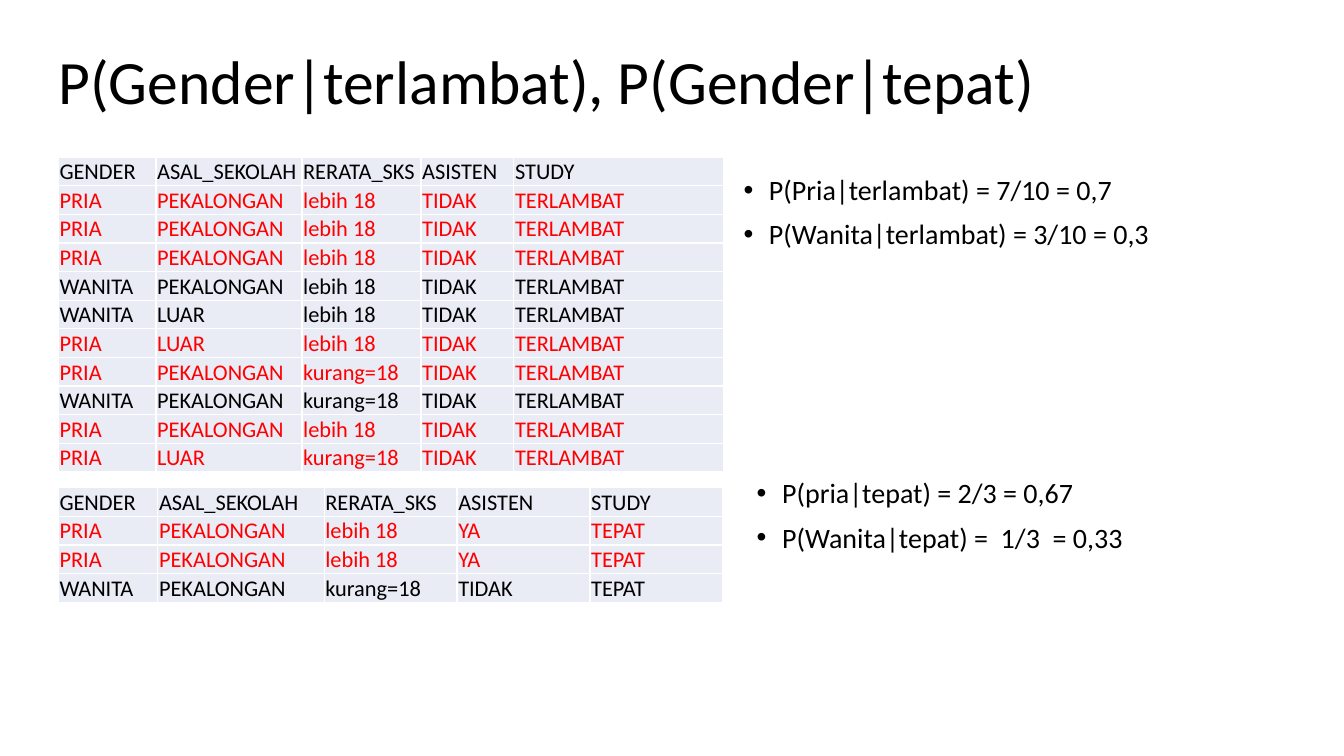
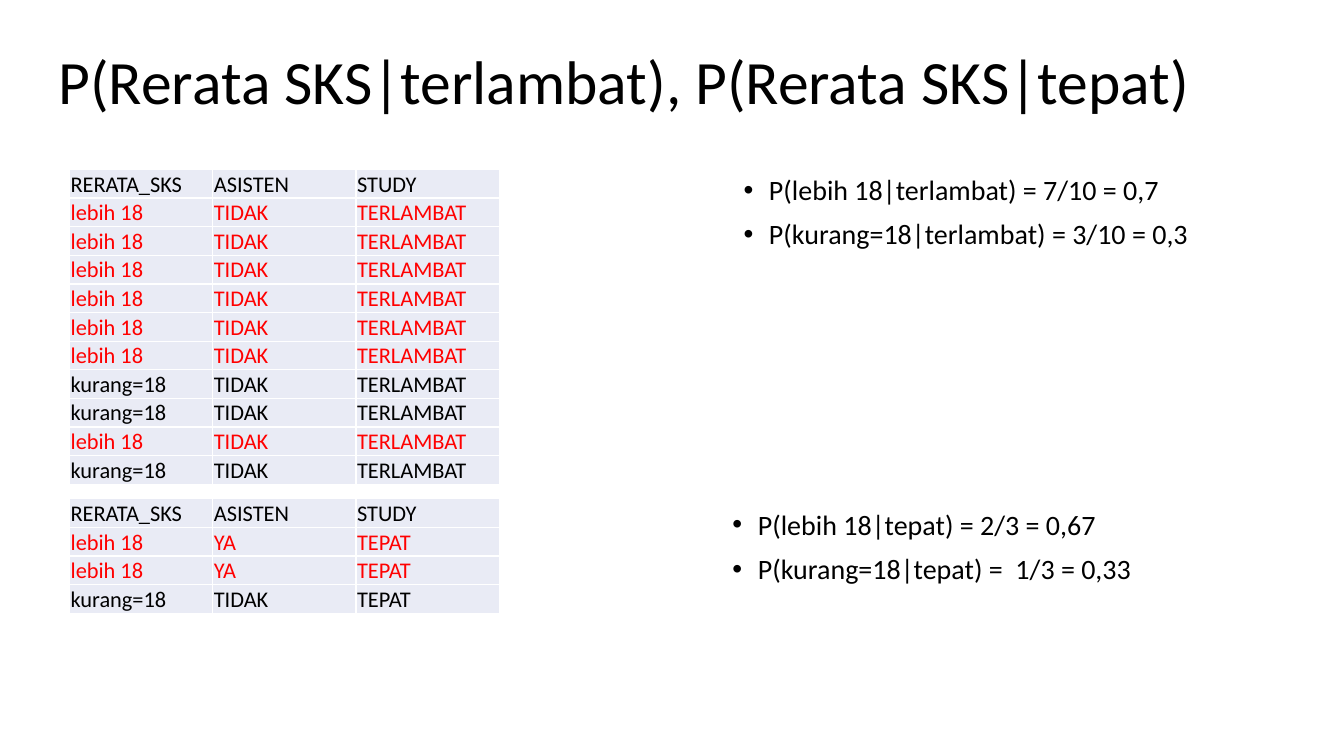
from lxml import etree
from pptx import Presentation
from pptx.dml.color import RGBColor
from pptx.enum.text import MSO_ANCHOR, MSO_AUTO_SIZE, PP_ALIGN
from pptx.oxml.ns import qn
from pptx.util import Cm, Pt

MIDDLE, BOTTOM = MSO_ANCHOR.MIDDLE, MSO_ANCHOR.BOTTOM
LEFT = PP_ALIGN.LEFT
NO_AUTOFIT = MSO_AUTO_SIZE.NONE

# Shared look
BLACK = RGBColor(0x00, 0x00, 0x00)
RED = RGBColor(0xFF, 0x00, 0x00)
WHITE = RGBColor(0xFF, 0xFF, 0xFF)
PALE_BLUE = RGBColor(0xE9, 0xEB, 0xF5)
FONT = "Calibri"
TITLE_ONLY = 5
ROW_HEIGHT = Cm(0.7)
INDENT = Cm(0.64)

TITLE_FRAME = {"word_wrap": True, "auto_size": NO_AUTOFIT, "vertical_anchor": MIDDLE}
TITLE_PARAGRAPH = {"alignment": LEFT, "line_spacing": 0.9}
FORMULA_FRAME = {"word_wrap": True, "auto_size": NO_AUTOFIT}
FORMULA_PARAGRAPH = {"alignment": LEFT, "line_spacing": 0.9}
CELL_FORMAT = {"vertical_anchor": BOTTOM, "margin_left": Cm(0.03),
               "margin_right": Cm(0.03), "margin_top": Cm(0.03), "margin_bottom": 0}

# Student records; the second slide shows only the last three columns
HEADER = ("GENDER", "ASAL_SEKOLAH", "RERATA_SKS", "ASISTEN", "STUDY")
LATE = [(*student, "TIDAK", "TERLAMBAT") for student in (
    ("PRIA", "PEKALONGAN", "lebih 18"),
    ("PRIA", "PEKALONGAN", "lebih 18"),
    ("PRIA", "PEKALONGAN", "lebih 18"),
    ("WANITA", "PEKALONGAN", "lebih 18"),
    ("WANITA", "LUAR", "lebih 18"),
    ("PRIA", "LUAR", "lebih 18"),
    ("PRIA", "PEKALONGAN", "kurang=18"),
    ("WANITA", "PEKALONGAN", "kurang=18"),
    ("PRIA", "PEKALONGAN", "lebih 18"),
    ("PRIA", "LUAR", "kurang=18"),
)]
ON_TIME = [
    ("PRIA", "PEKALONGAN", "lebih 18", "YA", "TEPAT"),
    ("PRIA", "PEKALONGAN", "lebih 18", "YA", "TEPAT"),
    ("WANITA", "PEKALONGAN", "kurang=18", "TIDAK", "TEPAT"),
]

# Lengths in centimetres; each group is (records, table place, column widths,
# formula box, formulas)
SLIDES = [
    {
        "title": "P(Gender|terlambat), P(Gender|tepat)",
        "title_width": 29.2,
        "first_column": 0,
        "highlight": "PRIA",
        "groups": [
            (LATE, (1.47, 3.96), (2.46, 3.68, 3, 2.34, 5.28),
             (18.49, 4.32, 10.82, 3.45),
             ("P(Pria|terlambat) = 7/10 = 0,7", "P(Wanita|terlambat) = 3/10 = 0,3")),
            (ON_TIME, (1.47, 12.29), (2.51, 4.19, 3.35, 3.35, 3.35),
             (18.82, 11.96, 10.82, 3.45),
             ("P(pria|tepat) = 2/3 = 0,67", "P(Wanita|tepat) =  1/3  = 0,33")),
        ],
    },
    {
        "title": "P(Rerata SKS|terlambat), P(Rerata SKS|tepat)",
        "title_width": 31.65,
        "first_column": 2,
        "highlight": "lebih 18",
        "groups": [
            (LATE, (1.75, 4.27), (3.61,) * 3,
             (18.49, 4.32, 12.65, 3.45),
             ("P(lebih 18|terlambat) = 7/10 = 0,7", "P(kurang=18|terlambat) = 3/10 = 0,3")),
            (ON_TIME, (1.75, 12.57), (3.61,) * 3,
             (18.21, 12.75, 13.21, 3.45),
             ("P(lebih 18|tepat) = 2/3 = 0,67", "P(kurang=18|tepat) =  1/3 = 0,33")),
        ],
    },
]


def apply_format(target, values):
    for attribute, value in values.items():
        setattr(target, attribute, value)


def style_font(paragraph, size, color=BLACK):
    apply_format(paragraph.font, {"name": FONT, "size": Pt(size), "bold": False})
    paragraph.font.color.rgb = color


def add_title(slide, text, width):
    title = slide.shapes.title
    apply_format(title, {"left": Cm(1.22), "top": Cm(0.28),
                         "width": Cm(width), "height": Cm(3.68)})
    title.text_frame.text = text
    apply_format(title.text_frame, TITLE_FRAME)
    paragraph = title.text_frame.paragraphs[0]
    apply_format(paragraph, TITLE_PARAGRAPH)
    style_font(paragraph, 44)


def add_bullet(paragraph):
    properties = paragraph._p.get_or_add_pPr()
    properties.set("marL", str(INDENT))
    properties.set("indent", str(-INDENT))
    etree.SubElement(properties, qn("a:buFont"), typeface="Arial")
    etree.SubElement(properties, qn("a:buChar"), char="•")


def add_formulas(slide, box, formulas):
    frame = slide.shapes.add_textbox(*map(Cm, box)).text_frame
    apply_format(frame, FORMULA_FRAME)
    for index, formula in enumerate(formulas):
        paragraph = frame.add_paragraph() if index else frame.paragraphs[0]
        paragraph.text = formula
        add_bullet(paragraph)
        apply_format(paragraph, FORMULA_PARAGRAPH)
        paragraph.space_before = Pt(10 if index else 0)
        style_font(paragraph, 20)


def add_borders(cell):
    properties = cell._tc.get_or_add_tcPr()
    for side in ("lnL", "lnR", "lnT", "lnB"):
        line = etree.SubElement(properties, qn(f"a:{side}"), w=str(Pt(1)))
        fill = etree.SubElement(line, qn("a:solidFill"))
        etree.SubElement(fill, qn("a:srgbClr"), val=str(WHITE))


def add_records(slide, records, place, widths, highlight):
    left, top = map(Cm, place)
    table = slide.shapes.add_table(len(records), len(widths), left, top,
                                   Cm(sum(widths)), ROW_HEIGHT * len(records)).table
    apply_format(table, {"first_row": False, "horz_banding": False})
    for column, width in zip(table.columns, widths):
        column.width = Cm(width)
    for row, record in zip(table.rows, records):
        color = RED if record[0] == highlight else BLACK
        for cell, value in zip(row.cells, record):
            cell.text = value
            apply_format(cell, CELL_FORMAT)
            add_borders(cell)
            cell.fill.solid()
            cell.fill.fore_color.rgb = PALE_BLUE
            style_font(cell.text_frame.paragraphs[0], 16, color)


def main():
    deck = Presentation()
    deck.slide_width, deck.slide_height = Cm(33.87), Cm(19.05)
    for content in SLIDES:
        slide = deck.slides.add_slide(deck.slide_layouts[TITLE_ONLY])
        add_title(slide, content["title"], content["title_width"])
        for records, place, widths, box, formulas in content["groups"]:
            shown = [record[content["first_column"]:] for record in (HEADER, *records)]
            add_formulas(slide, box, formulas)
            add_records(slide, shown, place, widths, content["highlight"])
    deck.save("out.pptx")


if __name__ == "__main__":
    main()
